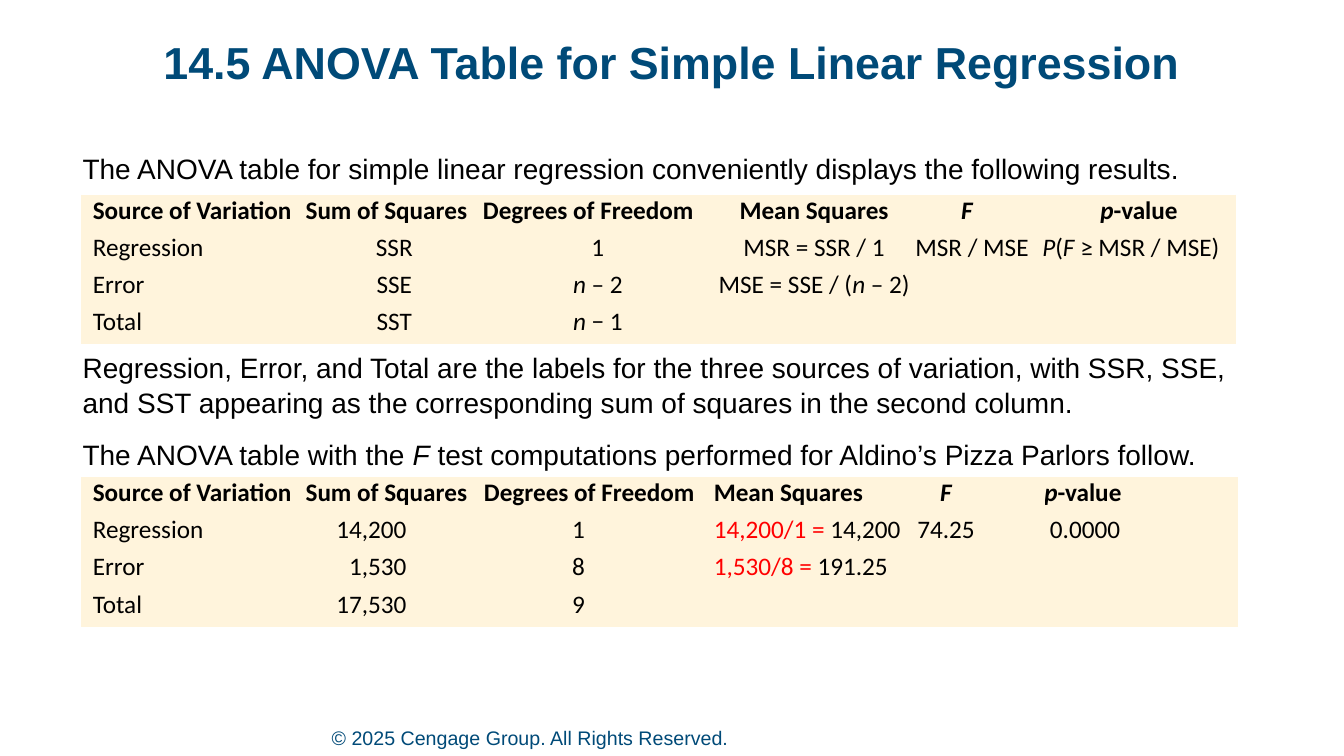
from dataclasses import dataclass

from lxml.etree import SubElement
from pptx import Presentation
from pptx.dml.color import RGBColor
from pptx.enum.text import MSO_ANCHOR as Anchor, PP_ALIGN as Align
from pptx.oxml.ns import qn
from pptx.util import Pt

NAVY = RGBColor(0x00, 0x4A, 0x78)
BLACK = RGBColor(0x00, 0x00, 0x00)
RED = RGBColor(0xFF, 0x00, 0x00)
CREAM = RGBColor(0xFF, 0xF4, 0xDC)

ROW_HEIGHT = 26.5
TABLE_LEFT = 58.3
LABEL_INDENT = 8


@dataclass(frozen=True)
class Span:
    text: str
    italic: bool = False
    color: RGBColor | None = None


@dataclass(frozen=True)
class Para:
    spans: tuple[Span, ...]
    align: Align = Align.LEFT
    before: float = 0
    spacing: float = 1.0


@dataclass(frozen=True)
class Font:
    name: str
    size: float
    color: RGBColor = BLACK
    bold: bool = False


@dataclass(frozen=True)
class TextBlock:
    left: float
    top: float
    width: float
    height: float
    font: Font
    paras: tuple[Para, ...]
    anchor: Anchor = Anchor.TOP
    bottom_inset: float = 0


@dataclass(frozen=True)
class Cell:
    spans: tuple[Span, ...] = ()
    align: Align = Align.LEFT
    left: float = 0
    right: float = 0


@dataclass(frozen=True)
class AnovaTable:
    top: float
    widths: tuple[float, ...]
    rows: tuple[tuple[Cell, ...], ...]


def plain(text: str, left: float = 0) -> Cell:
    return Cell((Span(text),), left=left)


def label(text: str) -> Cell:
    return plain(text, LABEL_INDENT)


def centred(*spans: Span) -> Cell:
    return Cell(spans, Align.CENTER)


def number(text: str, right: float) -> Cell:
    return Cell((Span(text),), Align.RIGHT, right=right)


def worked(formula: str, result: str) -> Cell:
    return Cell((Span(formula, color=RED), Span(result)))


def header(mean_squares: Cell, f_indent: float, p_align: Align) -> tuple[Cell, ...]:
    return (label("Source of Variation"), plain("Sum of Squares"),
            plain("Degrees of Freedom"), mean_squares,
            Cell((F,), left=f_indent), Cell((P, Span("-value")), p_align))


F, N, P = (Span(letter, italic=True) for letter in "Fnp")
EMPTY = Cell()
SUM_INSET, FREEDOM_INSET = 55.4, 92.2  # right insets of the number columns

TITLE = Font("Arial", 32, NAVY, bold=True)
BODY = Font("Arial", 20)
FOOTER = Font("Arial", 14, NAVY)
TABLE_HEAD = Font("Calibri", 18, bold=True)
TABLE_BODY = Font("Calibri", 18)

TEXTS = (
    TextBlock(236.9, 517.7, 704.9, 20.9, FOOTER,
              (Para((Span("© 2025 Cengage Group. All Rights Reserved."),)),),
              Anchor.BOTTOM, 3.6),
    TextBlock(52.6, 28.8, 854.6, 53.3, TITLE,
              (Para((Span("14.5 ANOVA Table for Simple Linear Regression"),),
                    Align.CENTER, spacing=0.9),)),
    TextBlock(59, 107.3, 828, 33.1, BODY,
              (Para((Span("The ANOVA table for simple linear regression conveniently "
                          "displays the following results."),), spacing=1.05),)),
    TextBlock(59, 249.1, 828, 87.8, BODY,
              (Para((Span("Regression, Error, and Total are the labels for the three "
                          "sources of variation, with SSR, SSE, and SST appearing as the "
                          "corresponding sum of squares in the second column."),),
                    spacing=1.05),
               Para((Span("The ANOVA table with the "), F,
                     Span(" test computations performed for Aldino’s Pizza Parlors follow.")),
                    before=12, spacing=1.05))),
)

TABLES = (
    AnovaTable(139.7, (160, 126.7, 164.2, 144.7, 90.7, 138.2), (
        header(centred(Span("Mean Squares")), 32.6, Align.CENTER),
        (label("Regression"), centred(Span("SSR")), centred(Span("1")),
         centred(Span("MSR = SSR / 1")), plain("MSR / MSE"),
         Cell((Span("P", True), Span("("), Span("F ", True), Span("≥ MSR / MSE)")))),
        (label("Error"), centred(Span("SSE")), centred(N, Span(" – 2")),
         centred(Span("MSE = SSE / ("), N, Span(" – 2)")), EMPTY, EMPTY),
        (label("Total"), centred(Span("SST")), centred(N, Span(" − 1")),
         EMPTY, EMPTY, EMPTY),
    )),
    AnovaTable(341.3, (160, 127.4, 164.2, 145.4, 90.7, 138.2), (
        header(plain("Mean Squares"), 16.3, Align.LEFT),
        (label("Regression"), number("14,200", SUM_INSET), number("1", FREEDOM_INSET),
         worked("14,200/1 = ", "14,200"), plain("74.25"), plain("0.0000", 4)),
        (label("Error"), number("1,530", SUM_INSET), number("8", FREEDOM_INSET),
         worked("1,530/8 = ", "191.25"), EMPTY, EMPTY),
        (label("Total"), number("17,530", SUM_INSET), number("9", FREEDOM_INSET),
         EMPTY, EMPTY, EMPTY),
    )),
)


def write_para(paragraph, para: Para, font: Font) -> None:
    paragraph.alignment = para.align
    paragraph.line_spacing = para.spacing
    paragraph.space_before = Pt(para.before)
    paragraph.font.name = font.name
    paragraph.font.size = Pt(font.size)
    paragraph.font.bold = font.bold
    paragraph.font.color.rgb = font.color
    for span in para.spans:
        run = paragraph.add_run()
        run.text = span.text
        if span.italic:
            run.font.italic = True
        if span.color is not None:
            run.font.color.rgb = span.color


def draw_text(page, block: TextBlock) -> None:
    box = page.shapes.add_textbox(Pt(block.left), Pt(block.top),
                                  Pt(block.width), Pt(block.height))
    frame = box.text_frame
    frame.word_wrap = True
    frame.vertical_anchor = block.anchor
    frame.margin_left = frame.margin_top = frame.margin_right = 0
    frame.margin_bottom = Pt(block.bottom_inset)
    for index, para in enumerate(block.paras):
        paragraph = frame.add_paragraph() if index else frame.paragraphs[0]
        write_para(paragraph, para, block.font)


def add_borders(table_cell) -> None:
    properties = table_cell._tc.get_or_add_tcPr()
    for index, side in enumerate(("lnL", "lnR", "lnT", "lnB")):
        line = SubElement(properties, qn(f"a:{side}"), w=str(Pt(1)))
        fill = SubElement(line, qn("a:solidFill"))
        SubElement(fill, qn("a:srgbClr"), val=str(CREAM))
        properties.insert(index, line)


def draw_table(page, anova: AnovaTable) -> None:
    table = page.shapes.add_table(
        len(anova.rows), len(anova.widths), Pt(TABLE_LEFT), Pt(anova.top),
        Pt(sum(anova.widths)), Pt(ROW_HEIGHT * len(anova.rows))).table
    table.first_row = table.horz_banding = False
    for column, width in zip(table.columns, anova.widths):
        column.width = Pt(width)
    for row_index, cells in enumerate(anova.rows):
        table.rows[row_index].height = Pt(ROW_HEIGHT)
        font = TABLE_BODY if row_index else TABLE_HEAD
        for column_index, cell in enumerate(cells):
            target = table.cell(row_index, column_index)
            target.fill.solid()
            target.fill.fore_color.rgb = CREAM
            target.margin_top = target.margin_bottom = 0
            target.margin_left, target.margin_right = Pt(cell.left), Pt(cell.right)
            add_borders(target)
            write_para(target.text_frame.paragraphs[0], Para(cell.spans, cell.align), font)


def main() -> None:
    deck = Presentation()
    deck.slide_width, deck.slide_height = Pt(960), Pt(540)
    page = deck.slides.add_slide(deck.slide_layouts[6])
    for block in TEXTS:
        draw_text(page, block)
    for anova in TABLES:
        draw_table(page, anova)
    deck.save("out.pptx")


if __name__ == "__main__":
    main()
